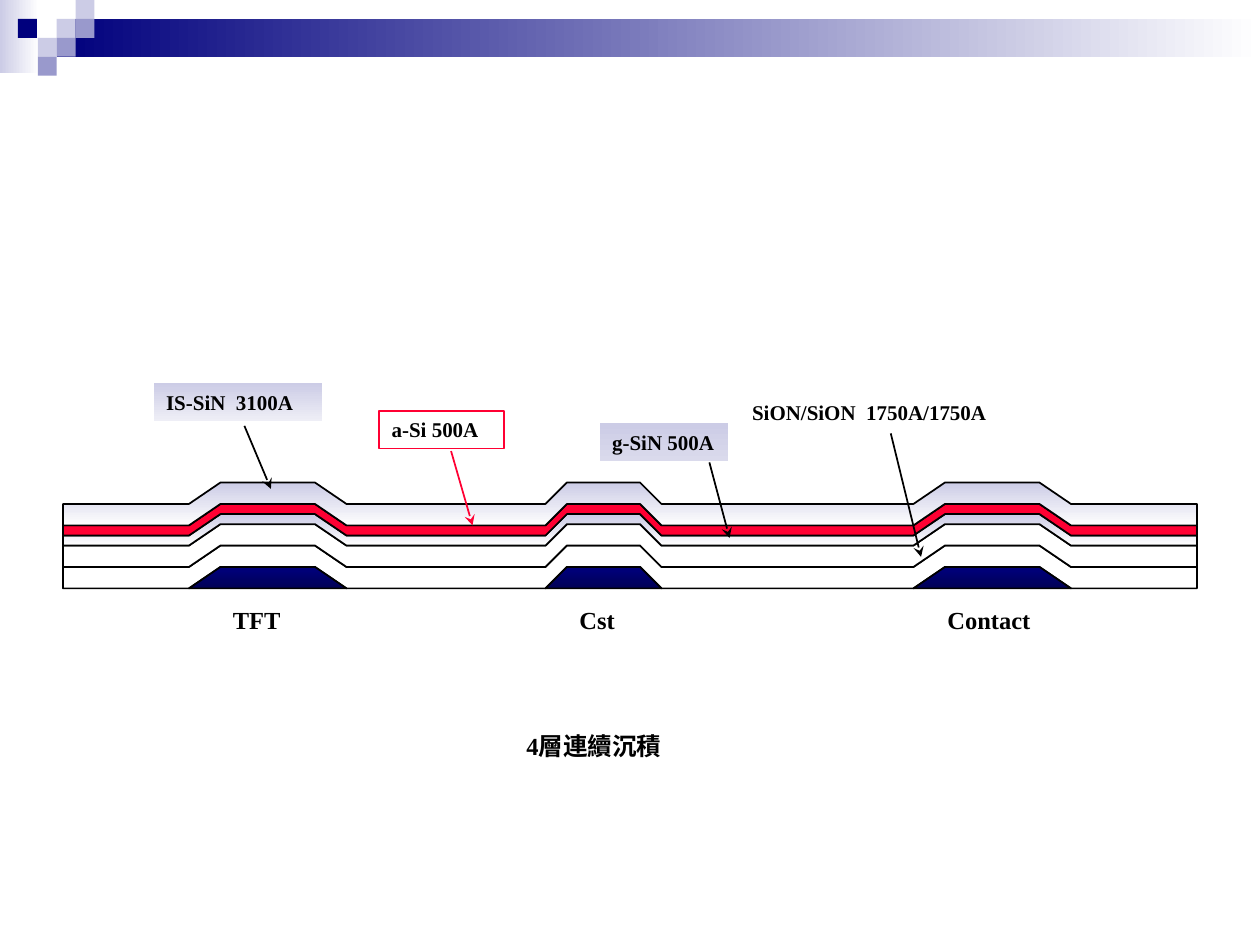
from lxml import etree
from pptx import Presentation
from pptx.dml.color import RGBColor
from pptx.enum import shapes, text
from pptx.oxml import ns
from pptx.util import Inches, Pt

FONT = "Times New Roman"
WHITE = RGBColor(0xFF, 0xFF, 0xFF)
NEAR_WHITE = RGBColor(0xFE, 0xFE, 0xFE)
BLACK = RGBColor(0, 0, 0)
NAVY = RGBColor(0x00, 0x00, 0x7D)
DARK_NAVY = RGBColor(0x00, 0x00, 0x56)
LILAC = RGBColor(0xCC, 0xCC, 0xE6)
MID_LILAC = RGBColor(0xDA, 0xDA, 0xEC)
PALE_LILAC = RGBColor(0xEE, 0xEE, 0xF6)
VIOLET = RGBColor(0x99, 0x99, 0xCC)
RED = RGBColor(0xFF, 0x00, 0x33)

# A fill is one colour, or a (start, end) pair for a gradient
BANDS = [((0, 0, 0.31, 0.58), (LILAC, WHITE)),
         ((0.45, 0.15, 9.55, 0.3), (NAVY, WHITE))]
TILE = 0.15
TILES = [(3, 1, LILAC), (4, 0, LILAC), (4, 1, VIOLET), (2, 2, LILAC),
         (0.95, 1, NAVY), (3, 2, VIOLET), (2, 3, VIOLET)]  # column, row, fill

# Film stack: each layer follows the bumps over the gates
LEFT, RIGHT, BASE, RISE = 0.5, 9.5, 4.67, 0.17
BUMPS = [(1.5, 1.75, 2.5, 2.75), (4.33, 4.5, 5.08, 5.25), (7.25, 7.5, 8.25, 8.5)]
LAYERS = [(4.5, 4.67, WHITE), (4.33, 4.5, WHITE), (4.25, 4.33, (LILAC, NEAR_WHITE)),
          (4.17, 4.25, RED), (4, 4.17, (LILAC, NEAR_WHITE))]  # top, bottom, fill

# text, box, fill, outline, arrow colour, arrow start, arrow end
CALLOUTS = [
    ("IS-SiN  3100A", (1.22, 3.04, 1.34, 0.3), (LILAC, PALE_LILAC), None,
     BLACK, (1.94, 3.38), (2.15, 3.88)),
    ("g-SiN 500A", (4.76, 3.36, 1.02, 0.3), (LILAC, MID_LILAC), None,
     BLACK, (5.63, 3.67), (5.79, 4.27)),
    ("a-Si 500A", (3.01, 3.26, 0.99, 0.3), WHITE, RED,
     RED, (3.58, 3.58), (3.75, 4.17)),
    ("SiON/SiON  1750A/1750A", (5.87, 3.12, 2.88, 0.3), WHITE, None,
     BLACK, (7.07, 3.44), (7.31, 4.42)),
]
CAPTIONS = [("TFT", (1.75, 4.75, 0.6, 0.33)), ("Cst", (4.5, 4.75, 0.5, 0.33)),
            ("Contact", (7.42, 4.75, 0.92, 0.33)),
            ("4層連續沉積", (4.08, 5.75, 1.33, 0.33))]


def paint(shape, fill, outline=None, angle=270):
    shape.shadow.inherit = False
    if isinstance(fill, RGBColor):
        shape.fill.solid()
        shape.fill.fore_color.rgb = fill
    else:
        shape.fill.gradient()
        shape.fill.gradient_angle = angle
        for stop, colour in zip(shape.fill.gradient_stops, fill):
            stop.color.rgb = colour
    if outline is None:
        shape.line.fill.background()
    else:
        shape.line.color.rgb = outline
        shape.line.width = Pt(1)


def add_box(page, place, fill, outline=None, angle=270):
    box = page.shapes.add_shape(shapes.MSO_SHAPE.RECTANGLE, *map(Inches, place))
    paint(box, fill, outline, angle)
    return box


def add_outline(page, points, fill):
    points = [(Inches(x), Inches(y)) for x, y in points]
    builder = page.shapes.build_freeform(*points[0])
    builder.add_line_segments(points[1:], close=True)
    paint(builder.convert_to_shape(), fill, BLACK)


def add_line(page, start, end, colour, arrow=False):
    line = page.shapes.add_connector(shapes.MSO_CONNECTOR.STRAIGHT,
                                     *map(Inches, start + end))
    line.line.color.rgb = colour
    line.line.width = Pt(1)
    properties = line._element.spPr
    if arrow:
        etree.SubElement(properties.find(ns.qn("a:ln")), ns.qn("a:tailEnd"),
                         type="stealth")
    etree.SubElement(properties, ns.qn("a:effectLst"))


def write(box, words, size):
    frame = box.text_frame
    frame.word_wrap = True
    frame.vertical_anchor = text.MSO_ANCHOR.TOP
    para = frame.paragraphs[0]
    para.text = words
    para.alignment = text.PP_ALIGN.LEFT
    para.font.name, para.font.size, para.font.bold = FONT, Pt(size), True
    para.font.color.rgb = BLACK


def surface(level):
    """Top edge of a film lying at the given level between the bumps."""
    points = [(LEFT, level)]
    for foot, shoulder, far_shoulder, far_foot in BUMPS:
        points += [(foot, level), (shoulder, level - RISE),
                   (far_shoulder, level - RISE), (far_foot, level)]
    return points + [(RIGHT, level)]


def main():
    deck = Presentation()
    deck.slide_width, deck.slide_height = Inches(10), Inches(7.5)
    page = deck.slides.add_slide(deck.slide_layouts[6])

    # Header decoration
    for place, fill in BANDS:
        add_box(page, place, fill, angle=0)
    for column, row, fill in TILES:
        add_box(page, (column * TILE, row * TILE, TILE, TILE), fill)

    # Films, substrate line and gates
    for top, bottom, fill in LAYERS:
        add_outline(page, surface(top) + surface(bottom)[::-1], fill)
    add_line(page, (LEFT, BASE), (RIGHT, BASE), BLACK)
    for bump in BUMPS:
        heights = (BASE, BASE - RISE, BASE - RISE, BASE)
        add_outline(page, list(zip(bump, heights)), (NAVY, DARK_NAVY))

    # Callouts and captions
    for words, place, fill, outline, colour, start, end in CALLOUTS:
        write(add_box(page, place, fill, outline), words, 12)
        add_line(page, start, end, colour, arrow=True)
    for words, place in CAPTIONS:
        write(page.shapes.add_textbox(*map(Inches, place)), words, 14)

    deck.save("out.pptx")


if __name__ == "__main__":
    main()
